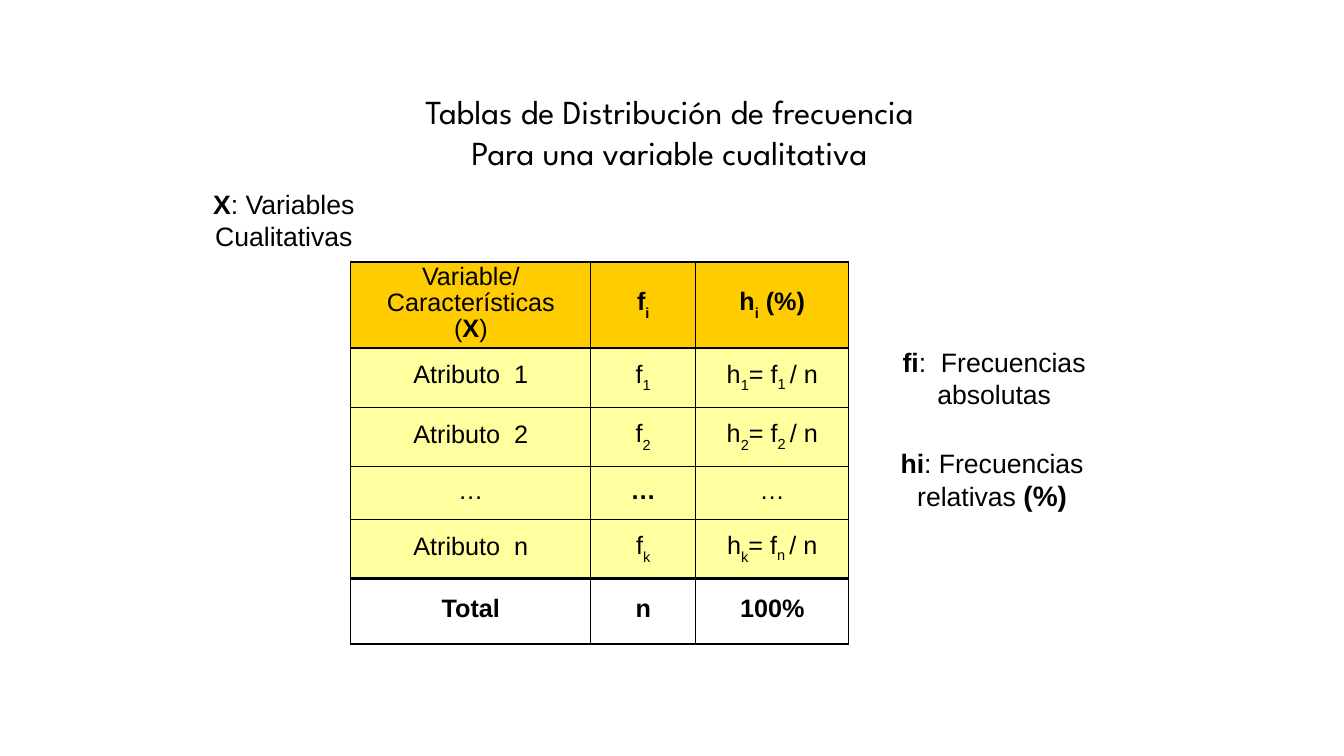
from lxml import etree
from pptx import Presentation
from pptx import util as u
from pptx.dml.color import RGBColor
from pptx.enum import text
from pptx.oxml import ns

COLORS = {"ink": "000000", "header": "FFCC00", "body": "FFFF9F"}


def add_spans(para, spans, size):
    para.alignment = text.PP_ALIGN.CENTER
    para.font.name = "Arial"
    para.font.size = u.Pt(size)
    para.font.color.rgb = RGBColor.from_string(COLORS["ink"])
    for words, bold, baseline in spans:
        span = para.add_run()
        span.text = words
        span.font.bold = bold
        if baseline:
            span._r.get_or_add_rPr().set("baseline", str(baseline * 1000))


def add_border(cell, side, width):
    line = etree.SubElement(cell._tc.get_or_add_tcPr(), ns.qn(f"a:ln{side}"), w=str(u.Pt(width)))
    fill = etree.SubElement(line, ns.qn("a:solidFill"))
    etree.SubElement(fill, ns.qn("a:srgbClr"), val=COLORS["ink"])


deck = Presentation()
deck.slide_width = u.Inches(13.33)
deck.slide_height = u.Inches(7.5)
page = deck.slides.add_slide(deck.slide_layouts[6])

columns = [2.38, 1.04, 1.52]
heights = [0.81, 0.59, 0.59, 0.52, 0.59, 0.65]
thick_rules = {1, 5}

header = [
    [[("Variable/", False, 0)], [("Características", False, 0)],
     [("(", False, 0), ("X", True, 0), (")", False, 0)]],
    [[("f", True, 0), ("i", True, -30)]],
    [[("h", True, 0), ("i", True, -30), (" (%)", True, 0)]],
]
attributes = [
    [
        [[(f"Atributo  {name}", False, 0)]],
        [[("f", False, 0), (index, False, -30)]],
        [[("h", False, 0), (index, False, -30), ("= f", False, 0),
          (f"{name} ", False, -25), ("/ n", False, 0)]],
    ]
    for name, index in [("1", "1"), ("2", "2"), ("n", "k")]
]
ellipsis = [[[("…", bold, 0)]] for bold in (False, True, False)]
total = [[[(words, True, 0)]] for words in ("Total", "n", "100%")]
rows = [header, *attributes[:2], ellipsis, attributes[2], total]

table = page.shapes.add_table(
    len(rows), len(columns), u.Inches(3.48), u.Inches(2.6),
    u.Inches(sum(columns)), u.Inches(sum(heights))).table
table.first_row = False
table.horz_banding = False
for column, width in zip(table.columns, columns):
    column.width = u.Inches(width)

for row_index, (row, height) in enumerate(zip(rows, heights)):
    table.rows[row_index].height = u.Inches(height)
    for column_index, paragraphs in enumerate(row):
        cell = table.cell(row_index, column_index)
        cell.vertical_anchor = text.MSO_ANCHOR.MIDDLE
        cell.margin_left = cell.margin_right = u.Inches(0.1)
        cell.margin_top = u.Inches(0.02)
        cell.margin_bottom = u.Inches(0.05)
        add_border(cell, "L", 1)
        add_border(cell, "R", 1)
        add_border(cell, "T", 2 if row_index in thick_rules else 1)
        add_border(cell, "B", 2 if row_index + 1 in thick_rules else 1)
        if row is total:
            cell.fill.background()
        else:
            cell.fill.solid()
            shade = COLORS["header" if row is header else "body"]
            cell.fill.fore_color.rgb = RGBColor.from_string(shade)
        frame = cell.text_frame
        for number, spans in enumerate(paragraphs):
            para = frame.add_paragraph() if number else frame.paragraphs[0]
            para.line_spacing = 0.93
            add_spans(para, spans, 18)

title = page.shapes.add_textbox(u.Inches(2.1), u.Inches(1.06), u.Inches(9.08), u.Inches(0.49))
frame = title.text_frame
frame.word_wrap = True
frame.vertical_anchor = text.MSO_ANCHOR.MIDDLE
frame.margin_left = frame.margin_right = u.Inches(0.11)
para = frame.paragraphs[0]
para.text = "Tablas de Distribución de frecuencia\vPara una variable cualitativa"
para.alignment = text.PP_ALIGN.CENTER
para.font.name = "League Spartan"
para.font.size = u.Pt(24)
para.font.color.rgb = RGBColor.from_string(COLORS["ink"])

notes = [
    (8.72, 4.38, 2.24, 0.76, "hi", ": Frecuencias relativas ", "(%)"),
    (1.83, 1.82, 1.97, 0.74, "X", ": Variables Cualitativas", ""),
    (8.72, 3.38, 2.28, 0.74, "fi", ":  Frecuencias absolutas", ""),
]
for left, top, width, height, symbol, meaning, unit in notes:
    box = page.shapes.add_textbox(u.Inches(left), u.Inches(top), u.Inches(width), u.Inches(height))
    frame = box.text_frame
    frame.word_wrap = True
    frame.auto_size = text.MSO_AUTO_SIZE.SHAPE_TO_FIT_TEXT
    para = frame.paragraphs[0]
    para.space_before = u.Pt(11.9)
    add_spans(para, [(symbol, True, 0), (meaning, False, 0)], 19)
    if unit:
        add_spans(para, [(unit, True, 0)], 19)
        para.runs[-1].font.size = u.Pt(20)

deck.save("out.pptx")
